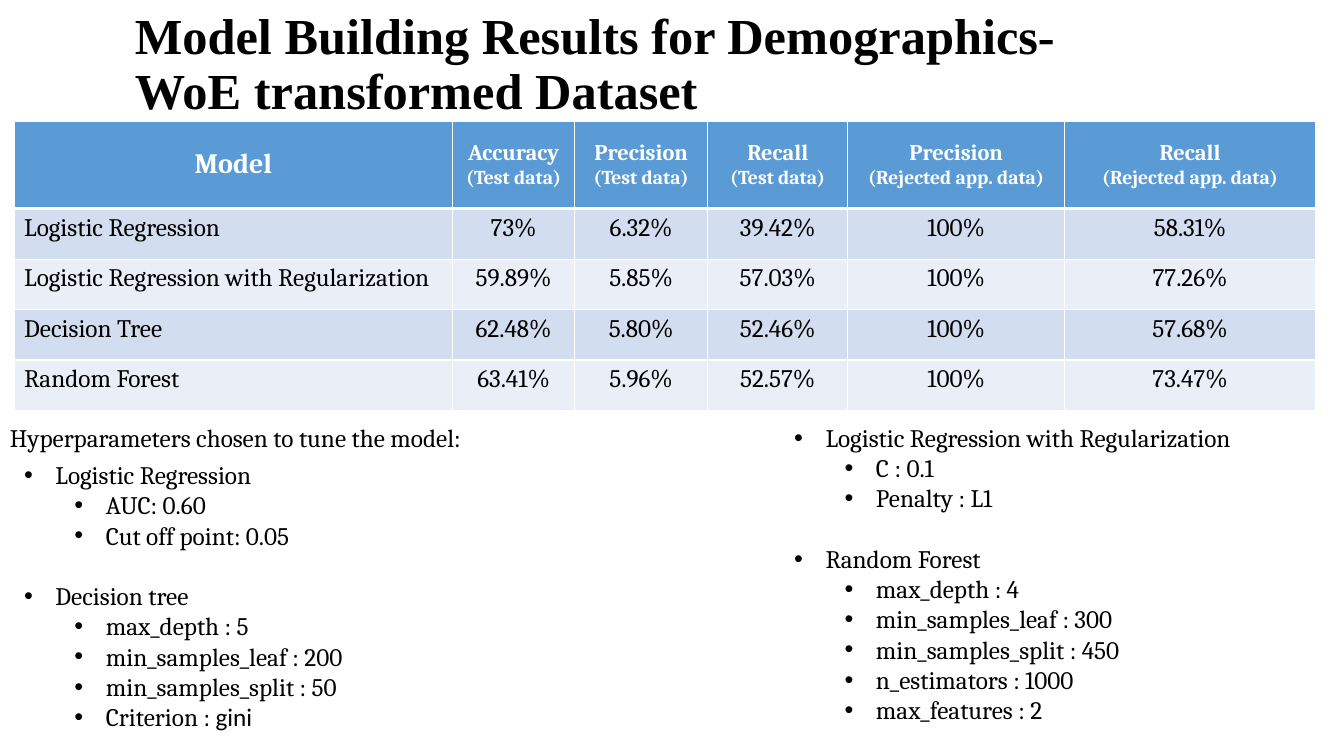
"""Builds the slide of model results for the demographics and WoE data set."""
from dataclasses import dataclass

from lxml.etree import SubElement
from pptx import Presentation
from pptx.dml.color import RGBColor
from pptx.enum.text import MSO_ANCHOR, PP_ALIGN
from pptx.oxml.ns import qn
from pptx.util import Inches, Length, Pt

WIDTH, HEIGHT = Inches(13.33), Inches(7.5)
BLACK = RGBColor(0x00, 0x00, 0x00)
WHITE = RGBColor(0xFF, 0xFF, 0xFF)
HEADER_BLUE = RGBColor(0x5B, 0x9B, 0xD5)
BANDS = (RGBColor(0xD2, 0xDE, 0xEF), RGBColor(0xEA, 0xEF, 0xF7))

BODY = {"name": "Cambria", "size": Pt(18), "bold": False}
TITLE = {"name": "Times New Roman", "size": Pt(36), "bold": True}
MODEL_HEAD = {"name": "Cambria", "size": Pt(20), "bold": True}
METRIC_HEAD = MODEL_HEAD | {"size": Pt(16)}
DATA_HEAD = MODEL_HEAD | {"size": Pt(14)}
GINI = BODY | {"name": "Calibri"}

COLUMN_SHARES = (32.63, 9.08, 9.9, 10.43, 16.13, 18.68)
ROW_SHARES = (11.6, 6.68, 6.68, 6.68, 6.68)
BULLET_HANG = 2.34
LEVEL_STEP = 3.75
GROUP_GAP = Pt(21.6)


@dataclass
class Region:
    """A rectangle in percent of the slide's width and height."""
    left: float
    top: float
    width: float
    height: float

    def lengths(self) -> tuple[Length, Length, Length, Length]:
        """Return the rectangle as lengths."""
        return across(self.left), down(self.top), across(self.width), down(self.height)


@dataclass
class Span:
    """A piece of text in one format."""
    text: str
    style: dict


@dataclass
class Settings:
    """A model with the hyperparameters chosen for it."""
    model: str
    values: list[list[Span]]


@dataclass
class SettingsColumn:
    """A text box that lists the settings of several models."""
    region: Region
    groups: list[Settings]


def plain(*texts: str) -> list[list[Span]]:
    """Return one body line for each text."""
    return [[Span(text, BODY)] for text in texts]


TITLE_REGION = Region(9.3, 2.4, 76.43, 12.53)
CAPTION_REGION = Region(0, 55.2, 53.78, 5.33)
TABLE_REGION = Region(1.05, 16, sum(COLUMN_SHARES), sum(ROW_SHARES))
METRICS = (
    ("Accuracy", "(Test data)"),
    ("Precision", "(Test data)"),
    ("Recall", "(Test data)"),
    ("Precision", "(Rejected app. data)"),
    ("Recall", "(Rejected app. data)"),
)
RESULTS = (
    ("Logistic Regression", "73%", "6.32%", "39.42%", "100%", "58.31%"),
    ("Logistic Regression with Regularization", "59.89%", "5.85%", "57.03%", "100%", "77.26%"),
    ("Decision Tree", "62.48%", "5.80%", "52.46%", "100%", "57.68%"),
    ("Random Forest", "63.41%", "5.96%", "52.57%", "100%", "73.47%"),
)
SETTINGS_COLUMNS = (
    SettingsColumn(Region(1.05, 60.13, 38.78, 37.73), [
        Settings("Logistic Regression", plain("AUC: 0.60", "Cut off point: 0.05")),
        Settings("Decision tree", [
            *plain("max_depth : 5", "min_samples_leaf : 200", "min_samples_split : 50"),
            [Span("Criterion : ", BODY), Span("gini", GINI)],
        ]),
    ]),
    SettingsColumn(Region(58.35, 55.2, 39.53, 41.73), [
        Settings("Logistic Regression with Regularization", plain("C : 0.1", "Penalty : L1")),
        Settings("Random Forest", plain(
            "max_depth : 4", "min_samples_leaf : 300", "min_samples_split : 450",
            "n_estimators : 1000", "max_features : 2")),
    ]),
)


def across(percent: float) -> Length:
    """Return a share of the slide's width."""
    return Length(round(WIDTH * percent / 100))


def down(percent: float) -> Length:
    """Return a share of the slide's height."""
    return Length(round(HEIGHT * percent / 100))


def write_spans(para, spans: list[Span], color: RGBColor = BLACK) -> None:
    """Add formatted text to a paragraph."""
    for span in spans:
        run = para.add_run()
        run.text = span.text
        for name, value in span.style.items():
            setattr(run.font, name, value)
        run.font.color.rgb = color


def next_paragraph(frame, first: bool):
    """Return the frame's opening paragraph or a new one."""
    return frame.paragraphs[0] if first else frame.add_paragraph()


def add_box(page, region: Region):
    """Add a wrapping text box and return its frame."""
    frame = page.shapes.add_textbox(*region.lengths()).text_frame
    frame.word_wrap = True
    return frame


def add_bullet(para, level: int) -> None:
    """Indent a paragraph behind a round bullet."""
    para.level = level
    properties = para._p.get_or_add_pPr()
    properties.set("marL", str(across(BULLET_HANG + level * LEVEL_STEP)))
    properties.set("indent", str(-across(BULLET_HANG)))
    SubElement(properties, qn("a:buFont"), typeface="Arial")
    SubElement(properties, qn("a:buChar"), char="•")


def add_settings(page, column: SettingsColumn) -> None:
    """Draw a bulleted list of models and their settings."""
    frame = add_box(page, column.region)
    for number, group in enumerate(column.groups):
        lines = plain(group.model) + group.values
        for position, spans in enumerate(lines):
            para = next_paragraph(frame, number + position == 0)
            add_bullet(para, min(position, 1))
            if number and position == 0:
                para.space_before = GROUP_GAP
            write_spans(para, spans)


def fill_cell(cell, lines: list[list[Span]], row: int, column: int) -> None:
    """Write, border and colour one table cell."""
    header = row == 0
    heavy_side = {0: "lnB", 1: "lnT"}.get(row)
    for side in ("lnL", "lnR", "lnT", "lnB"):
        width = Pt(3) if side == heavy_side else Pt(1)
        border = SubElement(cell._tc.get_or_add_tcPr(), qn(f"a:{side}"), w=str(width))
        paint = SubElement(border, qn("a:solidFill"))
        SubElement(paint, qn("a:srgbClr"), val=str(WHITE))
    cell.fill.solid()
    cell.fill.fore_color.rgb = HEADER_BLUE if header else BANDS[(row - 1) % 2]
    cell.vertical_anchor = MSO_ANCHOR.MIDDLE if header else MSO_ANCHOR.TOP
    for position, spans in enumerate(lines):
        para = next_paragraph(cell.text_frame, position == 0)
        para.alignment = PP_ALIGN.CENTER if header or column else PP_ALIGN.LEFT
        write_spans(para, spans, WHITE if header else BLACK)


def add_results(page) -> None:
    """Draw the table of model results."""
    shape = page.shapes.add_table(len(ROW_SHARES), len(COLUMN_SHARES), *TABLE_REGION.lengths())
    table = shape.table
    table.horz_banding = False
    for column, share in zip(table.columns, COLUMN_SHARES):
        column.width = across(share)
    for row, share in zip(table.rows, ROW_SHARES):
        row.height = down(share)
    header = [[[Span("Model", MODEL_HEAD)]]]
    header += [[[Span(metric, METRIC_HEAD)], [Span(data, DATA_HEAD)]] for metric, data in METRICS]
    body = [[plain(text) for text in result] for result in RESULTS]
    for row, entries in enumerate([header, *body]):
        for column, lines in enumerate(entries):
            fill_cell(table.cell(row, column), lines, row, column)


def main() -> None:
    """Build and save the deck."""
    deck = Presentation()
    deck.slide_width, deck.slide_height = WIDTH, HEIGHT
    page = deck.slides.add_slide(deck.slide_layouts[6])
    title = add_box(page, TITLE_REGION)
    title.vertical_anchor = MSO_ANCHOR.MIDDLE
    title.paragraphs[0].line_spacing = 0.9
    write_spans(title.paragraphs[0], [
        Span("Model Building Results for Demographics-WoE transformed Dataset", TITLE)])
    add_results(page)
    for column in SETTINGS_COLUMNS:
        add_settings(page, column)
    caption = add_box(page, CAPTION_REGION)
    write_spans(caption.paragraphs[0], [Span("Hyperparameters chosen to tune the model:", BODY)])
    deck.save("out.pptx")


if __name__ == "__main__":
    main()
